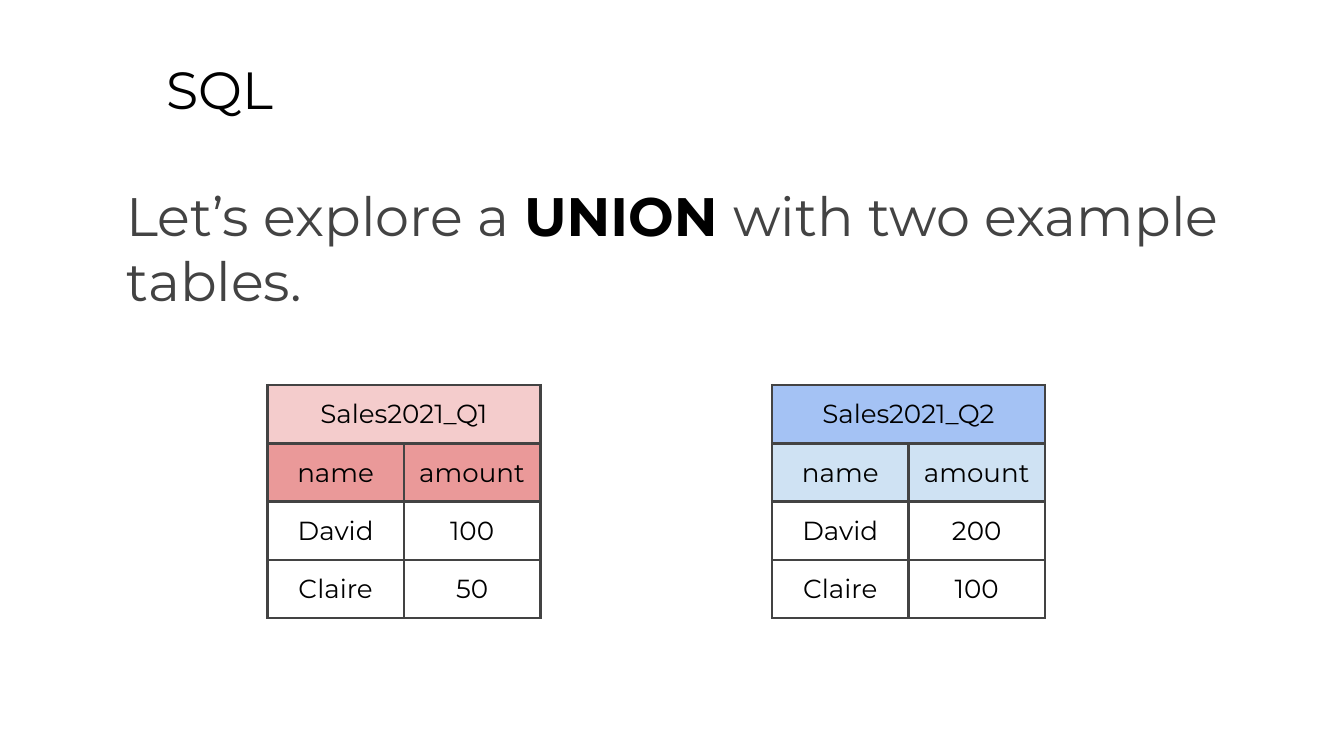
from dataclasses import dataclass

from lxml.etree import SubElement
from pptx import Presentation
from pptx.dml.color import RGBColor
from pptx.enum.text import MSO_ANCHOR, PP_ALIGN
from pptx.oxml.ns import qn
from pptx.util import Pt

PX = 4572  # EMU per px, 200 px to the inch


@dataclass(frozen=True)
class Theme:
    font: str = "Montserrat"
    black: str = "000000"
    gray: str = "434343"
    white: str = "FFFFFF"
    red_light: str = "F4CCCC"
    red: str = "EA9999"
    blue: str = "A4C2F4"
    blue_light: str = "CFE2F3"
    title_size: int = 28
    body_size: int = 29
    table_size: int = 14
    border: float = 1.5
    inset: int = 20


class SlideBuilder:
    def __init__(self, prs, theme):
        self.theme = theme
        self.s = prs.slides.add_slide(prs.slide_layouts[6])
        self.s.background.fill.solid()
        self.s.background.fill.fore_color.rgb = RGBColor.from_string(theme.white)

    def style(self, r, size, color, bold=False):
        r.font.name = self.theme.font
        r.font.size = Pt(size)
        r.font.bold = bold
        r.font.color.rgb = RGBColor.from_string(color)

    def set_margins(self, target):
        inset = self.theme.inset * PX
        target.margin_left = target.margin_right = inset
        target.margin_top = target.margin_bottom = inset

    def text(self, x, y, w, h, runs, size, indent=0, after=0):
        """Runs are (text, colour, bold) tuples."""
        sp = self.s.shapes.add_textbox(x * PX, y * PX, w * PX, h * PX)
        tf = sp.text_frame
        tf.word_wrap = True
        tf.vertical_anchor = MSO_ANCHOR.TOP
        self.set_margins(tf)
        p = tf.paragraphs[0]
        p.space_after = Pt(after)
        if indent:
            p._p.get_or_add_pPr().set("marL", str(indent * PX))
        for text, color, bold in runs:
            r = p.add_run()
            r.text = text
            self.style(r, size, color, bold)

    def borders(self, cell):
        tc_pr = cell._tc.get_or_add_tcPr()
        for side in ("a:lnL", "a:lnR", "a:lnT", "a:lnB"):
            ln = SubElement(tc_pr, qn(side), w=str(Pt(self.theme.border)))
            fill = SubElement(ln, qn("a:solidFill"))
            SubElement(fill, qn("a:srgbClr"), val=self.theme.gray)

    def cell(self, cell, text, fill):
        self.set_margins(cell)
        self.borders(cell)
        if fill:
            cell.fill.solid()
            cell.fill.fore_color.rgb = RGBColor.from_string(fill)
        else:
            cell.fill.background()
        if text:
            cell.text_frame.text = text
            p = cell.text_frame.paragraphs[0]
            p.alignment = PP_ALIGN.CENTER
            self.style(p.runs[0], self.theme.table_size, self.theme.black)

    def table(self, x, y, col_w, row_h, title, rows, title_fill, head_fill):
        grid = [(title, ""), *rows]
        n_rows, n_cols = len(grid), len(rows[0])
        table = self.s.shapes.add_table(
            n_rows, n_cols, x * PX, y * PX, n_cols * col_w * PX, n_rows * row_h * PX
        ).table
        table.first_row = table.horz_banding = False
        for col in table.columns:
            col.width = col_w * PX
        for row in table.rows:
            row.height = row_h * PX
        fills = [title_fill, head_fill] + [None] * (n_rows - 2)
        for i, (values, fill) in enumerate(zip(grid, fills)):
            for j, value in enumerate(values):
                self.cell(table.cell(i, j), value, fill)
        table.cell(0, 0).merge(table.cell(0, n_cols - 1))


def main():
    prs = Presentation()
    prs.slide_width, prs.slide_height = 2000 * PX, 1125 * PX
    theme = Theme()
    slide = SlideBuilder(prs, theme)

    # Title and introduction
    slide.text(228, 65, 1704, 126, [("SQL", theme.black, False)], theme.title_size)
    intro = [
        ("Let’s explore a ", theme.gray, False),
        ("UNION ", theme.black, True),
        ("with two example tables.", theme.gray, False),
    ]
    slide.text(68, 252, 1900, 748, intro, theme.body_size, indent=100, after=16)

    # Quarterly sales tables
    quarters = [
        (398, "Sales2021_Q1", ("100", "50"), theme.red_light, theme.red),
        (1149, "Sales2021_Q2", ("200", "100"), theme.blue, theme.blue_light),
    ]
    for x, title, amounts, title_fill, head_fill in quarters:
        rows = [("name", "amount"), *zip(("David", "Claire"), amounts)]
        slide.table(x, 573, 203, 85, title, rows, title_fill, head_fill)

    prs.save("out.pptx")


if __name__ == "__main__":
    main()
